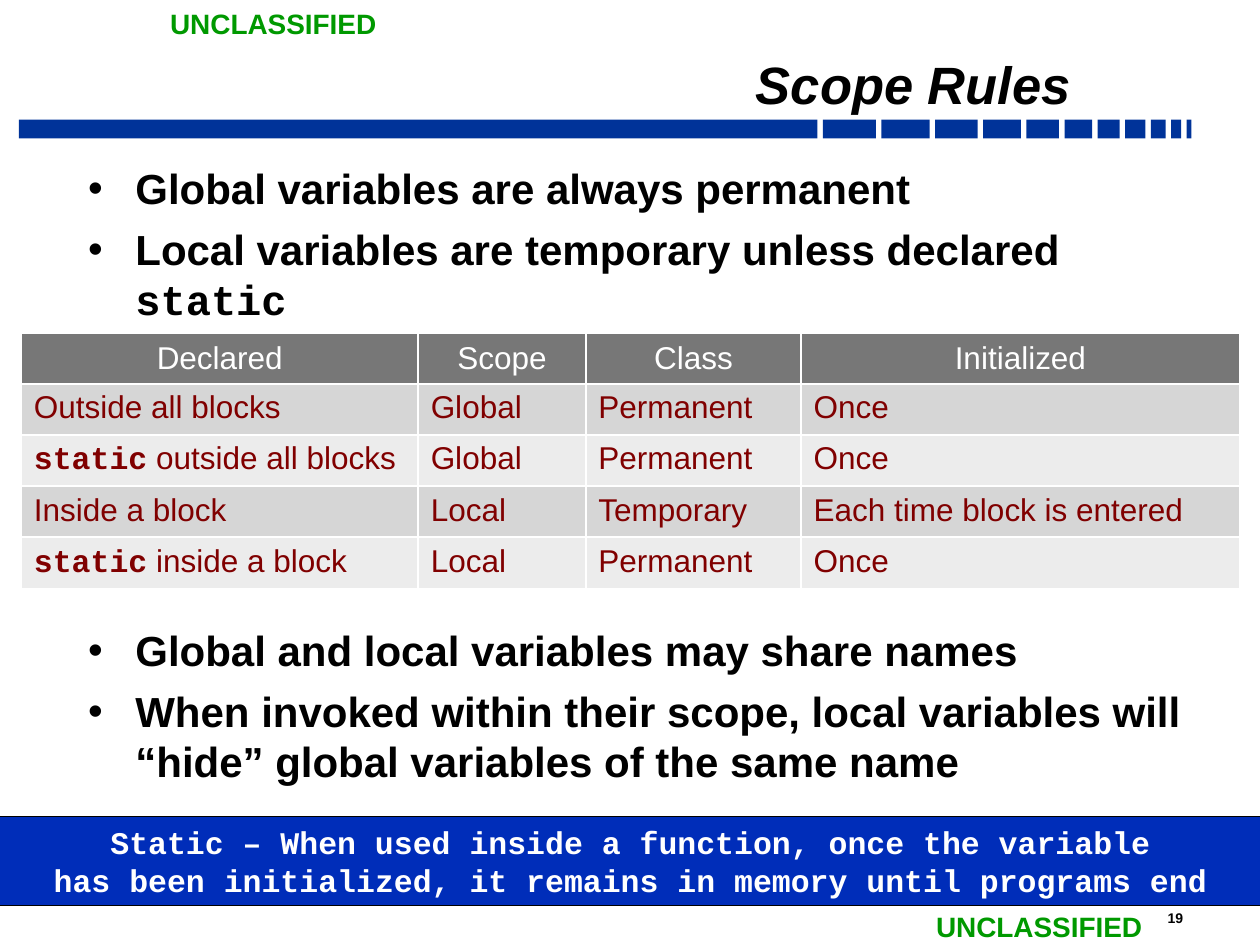
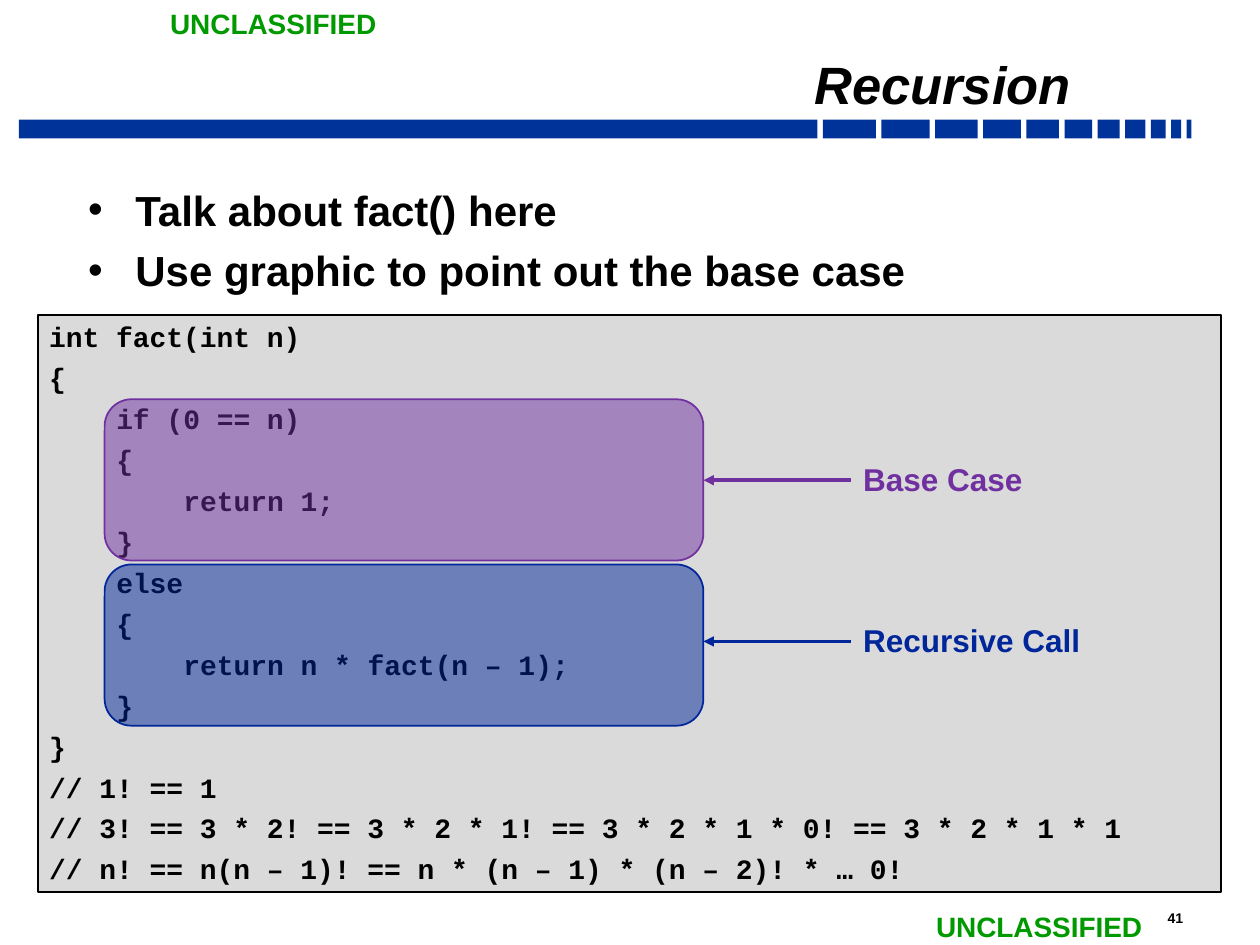
from lxml import etree
from pptx import Presentation
from pptx.dml.color import RGBColor
from pptx.enum import shapes, text
from pptx.oxml import ns
from pptx.util import Cm, Pt

BLACK, WHITE, GREEN, BAND = "000000", "FFFFFF", "009900", "003399"
SANS, MONO = "Arial", "Courier New"
BODY_INSETS = (0.23, 0.1)
BOX_INSETS = (0.25, 0.13)
LEFT, CENTER, RIGHT = text.PP_ALIGN.LEFT, text.PP_ALIGN.CENTER, text.PP_ALIGN.RIGHT
TOP, MIDDLE = text.MSO_ANCHOR.TOP, text.MSO_ANCHOR.MIDDLE


# Shared helpers
def rgb(value):
    return RGBColor.from_string(value)


def cm(box):
    return [Cm(length) for length in box]


def sub(parent, tag, **attributes):
    return etree.SubElement(parent, ns.qn(tag), attributes)


def style(run, size, color=BLACK, font=SANS, bold=True, italic=False):
    run.font.name, run.font.size = font, Pt(size)
    run.font.bold, run.font.italic = bold, italic
    run.font.color.rgb = rgb(color)


def write(paragraph, content, size, color=BLACK, font=SANS, bold=True):
    """Write text, with parts between backticks in bold monospace."""
    for i, part in enumerate(content.split("`")):
        if part:
            run = paragraph.add_run()
            run.text = part
            if i % 2:
                style(run, size, color, MONO)
            else:
                style(run, size, color, font, bold)


def set_frame(frame, insets=BOX_INSETS, anchor=TOP, wrap=True):
    frame.margin_left = frame.margin_right = Cm(insets[0])
    frame.margin_top = frame.margin_bottom = Cm(insets[1])
    frame.vertical_anchor = anchor
    frame.word_wrap = wrap


def indent(paragraph, left, first=0):
    properties = paragraph._p.get_or_add_pPr()
    properties.set("marL", str(Cm(left)))
    properties.set("indent", str(Cm(first)))
    return properties


def add_block(slide, box, fill, line=None, width=1.0,
              kind=shapes.MSO_SHAPE.RECTANGLE):
    block = slide.shapes.add_shape(kind, *cm(box))
    block.shadow.inherit = False
    block.fill.solid()
    block.fill.fore_color.rgb = rgb(fill)
    if line:
        block.line.color.rgb = rgb(line)
        block.line.width = Pt(width)
    else:
        block.line.fill.background()
    return block


def add_label(slide, box, content, size, color=BLACK, wrap=True):
    frame = slide.shapes.add_textbox(*cm(box)).text_frame
    set_frame(frame, wrap=wrap)
    write(frame.paragraphs[0], content, size, color)


# Parts found on every slide
def add_band(slide, left, top, height):
    widths = (16.1, 1.07, 0.97, 0.86, 0.76, 0.66, 0.56, 0.44, 0.41, 0.3, 0.2, 0.1)
    for width in widths:
        add_block(slide, (left, top, width, height), BAND)
        left += width + 0.11


def add_title(slide, box, content):
    title = slide.shapes.title
    title.left, title.top, title.width, title.height = cm(box)
    frame = title.text_frame
    frame.text = content
    set_frame(frame, BODY_INSETS, text.MSO_ANCHOR.BOTTOM)
    frame.auto_size = text.MSO_AUTO_SIZE.NONE
    paragraph = frame.paragraphs[0]
    paragraph.alignment, paragraph.line_spacing = RIGHT, 0.7
    style(paragraph.runs[0], 30, italic=True)


def new_slide(deck, title, number):
    slide = deck.slides.add_slide(deck.slide_layouts.get_by_name("Title Only"))
    add_band(slide, 0.38, 2.41, 0.38)
    add_label(slide, (23.29, 18.21, 1.37, 0.58), number, 8)
    for left, top in ((3.18, 0), (18.62, 18.21)):
        add_label(slide, (left, top, 4.72, 0.94), "UNCLASSIFIED", 16, GREEN, wrap=False)
    add_title(slide, (4.24, 0.89, 17.58, 1.5), title)
    return slide


def add_bullets(slide, box, items):
    frame = slide.shapes.add_textbox(*cm(box)).text_frame
    set_frame(frame, BODY_INSETS)
    for i, item in enumerate(items):
        paragraph = frame.add_paragraph() if i else frame.paragraphs[0]
        paragraph.space_before = Pt(6)
        properties = indent(paragraph, 0.95, -0.95)
        sub(sub(properties, "a:buClr"), "a:srgbClr", val=BLACK)
        sub(properties, "a:buFont", typeface=SANS)
        sub(properties, "a:buChar", char="•")
        write(paragraph, item, 24)


# Scope rules
def add_cell_borders(cell, color):
    properties = cell._tc.get_or_add_tcPr()
    for side in ("L", "R", "T", "B"):
        line = sub(properties, f"a:ln{side}", w=str(Pt(1)))
        sub(sub(line, "a:solidFill"), "a:srgbClr", val=color)


def add_scope_table(slide, left, top, rows):
    widths, row_height = (8.0, 3.38, 4.34, 8.84), 1.03
    box = (left, top, sum(widths), row_height * len(rows))
    table = slide.shapes.add_table(len(rows), len(widths), *cm(box)).table
    for column, width in zip(table.columns, widths):
        column.width = Cm(width)
    for r, row in enumerate(rows):
        table.rows[r].height = Cm(row_height)
        if r == 0:
            fill, color, align, anchor = "777777", WHITE, CENTER, MIDDLE
        else:
            fill = "D6D6D6" if r % 2 else "ECECEC"
            color, align, anchor = "800000", LEFT, TOP
        for c, content in enumerate(row):
            cell = table.cell(r, c)
            add_cell_borders(cell, WHITE)
            cell.fill.solid()
            cell.fill.fore_color.rgb = rgb(fill)
            cell.vertical_anchor = anchor
            paragraph = cell.text_frame.paragraphs[0]
            paragraph.alignment = align
            write(paragraph, content, 18, color, bold=False)


def add_banner(slide, box, lines):
    frame = add_block(slide, box, "002DB9", BLACK, 0.75).text_frame
    set_frame(frame, anchor=MIDDLE)
    frame.text = "\n".join(lines)
    for paragraph in frame.paragraphs:
        paragraph.alignment = CENTER
        style(paragraph.runs[0], 18, WHITE, MONO)


def build_scope_rules(deck):
    slide = new_slide(deck, "Scope Rules", "19")
    add_bullets(slide, (1.55, 3.18, 23.04, 3.4), [
        "Global variables are always permanent",
        "Local variables are temporary unless declared `static`",
    ])
    add_bullets(slide, (1.55, 12.49, 23.04, 3.8), [
        "Global and local variables may share names",
        "When invoked within their scope, local variables will “hide” "
        "global variables of the same name",
    ])
    add_scope_table(slide, 0.43, 6.71, [
        ("Declared", "Scope", "Class", "Initialized"),
        ("Outside all blocks", "Global", "Permanent", "Once"),
        ("`static` outside all blocks", "Global", "Permanent", "Once"),
        ("Inside a block", "Local", "Temporary", "Each time block is entered"),
        ("`static` inside a block", "Local", "Permanent", "Once"),
    ])
    add_banner(slide, (-1.48, 16.46, 28.37, 1.8), [
        "Static – When used inside a function, once the variable",
        "has been initialized, it remains in memory until programs end",
    ])


# Recursion
def add_code(slide, box, lines):
    """Write code lines given as (indent level, text)."""
    frame = add_block(slide, box, "DADADA", BLACK).text_frame
    set_frame(frame, BODY_INSETS)
    frame.text = "\n".join(content for _, content in lines)
    for paragraph, (level, _) in zip(frame.paragraphs, lines):
        paragraph.alignment, paragraph.space_before = LEFT, Pt(4.2)
        indent(paragraph, 1.355 * level)
        style(paragraph.runs[0], 16, font=MONO)


def add_callout(slide, box, arrow_drop, label, color):
    left, top, width, _ = box
    highlight = add_block(slide, box, color, color,
                          kind=shapes.MSO_SHAPE.ROUNDED_RECTANGLE)
    fill_color = highlight._element.spPr.find(ns.qn("a:solidFill"))[0]
    sub(fill_color, "a:alpha", val="50000")

    edge, arrow_y = left + width, top + arrow_drop
    label_left = edge + 2.97
    arrow = slide.shapes.add_connector(
        shapes.MSO_CONNECTOR.STRAIGHT, *cm((label_left, arrow_y, edge, arrow_y)))
    arrow.line.color.rgb = rgb(color)
    arrow.line.width = Pt(2)
    sub(arrow.line._get_or_add_ln(), "a:tailEnd", type="triangle")
    sub(arrow._element.spPr, "a:effectLst")
    add_label(slide, (label_left, arrow_y - 0.54, 5.28, 1.07), label, 18, color)


def build_recursion(deck):
    slide = new_slide(deck, "Recursion", "41")
    add_bullets(slide, (1.55, 3.61, 23.04, 2.6), [
        "Talk about fact() here",
        "Use graphic to point out the base case",
    ])
    add_code(slide, (0.76, 6.35, 23.85, 11.63), [
        (0, "int fact(int n)"),
        (0, "{"),
        (1, "if (0 == n)"),
        (1, "{"),
        (2, "return 1;"),
        (1, "}"),
        (1, "else"),
        (1, "{"),
        (2, "return n * fact(n – 1);"),
        (1, "}"),
        (0, "}"),
        (0, "// 1! == 1"),
        (0, "// 3! == 3 * 2! == 3 * 2 * 1! == 3 * 2 * 1 * 0! == 3 * 2 * 1 * 1"),
        (0, "// n! == n(n – 1)! == n * (n – 1) * (n – 2)! * … 0!"),
    ])
    add_callout(slide, (2.11, 8.05, 12.07, 3.25), 1.63, "Base Case", "7030A0")
    add_callout(slide, (2.11, 11.38, 12.07, 3.25), 1.55, "Recursive Call", "002699")


def main():
    deck = Presentation()
    deck.slide_width, deck.slide_height = Cm(25.4), Cm(19.05)
    build_scope_rules(deck)
    build_recursion(deck)
    deck.save("out.pptx")


if __name__ == "__main__":
    main()
